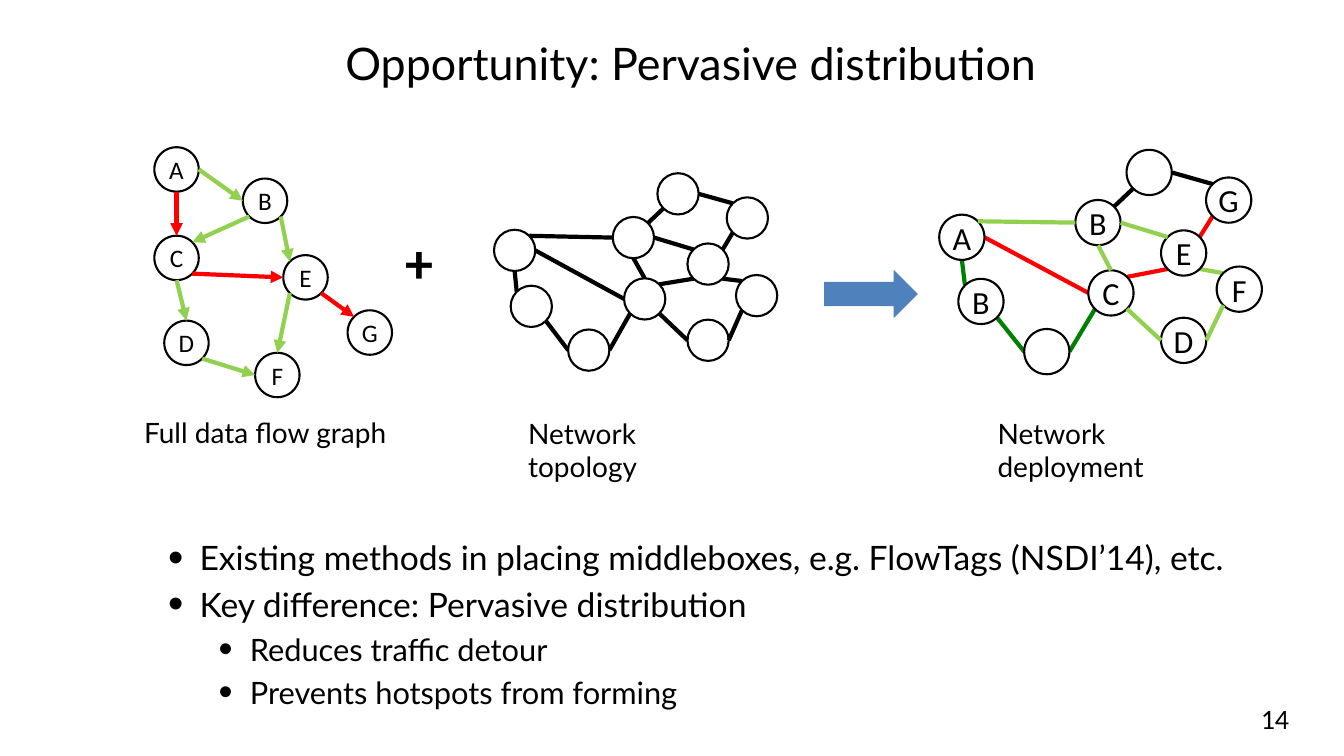
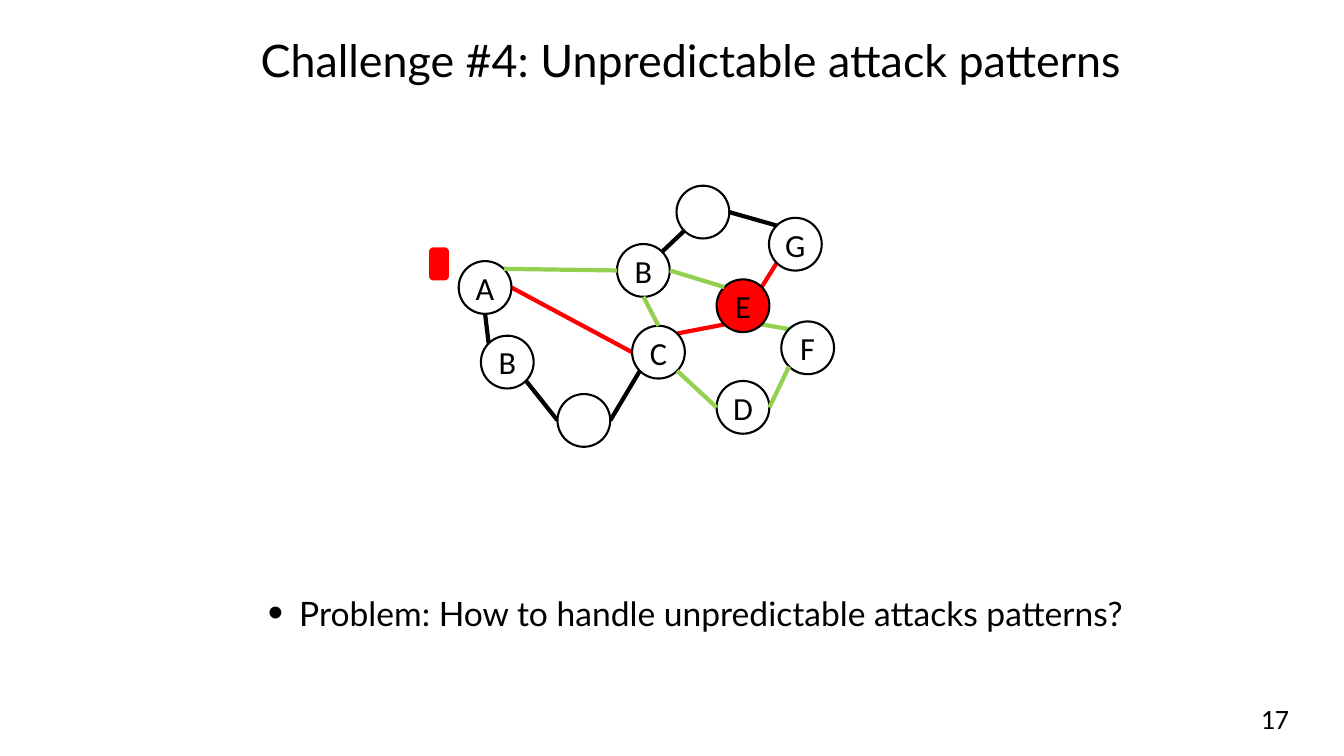
from dataclasses import dataclass
from math import sqrt

from lxml import etree
from pptx import Presentation
from pptx.dml.color import RGBColor
from pptx.enum.shapes import MSO_CONNECTOR, MSO_SHAPE
from pptx.enum.text import MSO_ANCHOR, PP_ALIGN
from pptx.oxml.ns import qn
from pptx.util import Cm, Pt

STRAIGHT = MSO_CONNECTOR.STRAIGHT
OVAL, ROUNDED, ARROW = MSO_SHAPE.OVAL, MSO_SHAPE.ROUNDED_RECTANGLE, MSO_SHAPE.RIGHT_ARROW
LEFT, CENTER, RIGHT = PP_ALIGN.LEFT, PP_ALIGN.CENTER, PP_ALIGN.RIGHT
TOP, MIDDLE = MSO_ANCHOR.TOP, MSO_ANCHOR.MIDDLE


@dataclass(frozen=True)
class Theme:
    black: str = "000000"
    white: str = "FFFFFF"
    red: str = "FF0000"
    lime: str = "92D050"
    green: str = "008000"
    blue: str = "4F81BD"
    text_font: str = "Lato"
    label_font: str = "Calibri"
    title: int = 32
    caption: int = 20
    plus: int = 40
    bullets: tuple = (24, 22)
    bullet_gap: float = 4.5
    outline: float = 1.5
    edge: float = 3


THEME = Theme()

# Graphs: node offsets from A in cm, edges as node.side pairs with a kind
FLOW_NODES = {
    "A": (0, 0), "B": (2.23, 0.79), "F": (2.54, 5.18), "E": (3.25, 2.72),
    "C": (0, 2.23), "D": (0.25, 4.37), "G": (4.87, 4.11),
}
FLOW_EDGES = [
    ("A.e", "B.w", "normal"), ("B.sw", "C.ne", "normal"),
    ("B.se", "E.nw", "normal"), ("C.s", "D.n", "normal"),
    ("D.se", "F.w", "normal"), ("E.sw", "F.n", "normal"),
    ("A.s", "C.n", "attack"), ("C.se", "E.w", "attack"), ("E.se", "G.nw", "attack"),
]
NETWORK_NODES = {
    "A": (0, 0), "B2": (0.56, 1.88), "low": (2.49, 3.35), "C": (4.37, 1.63),
    "B": (3.99, -0.43), "E": (6.5, 0.46), "G": (7.82, -1.09),
    "F": (8.13, 1.52), "D": (6.5, 3.02), "high": (5.49, -1.9),
}
NETWORK_BACK = [
    ("A.s", "B2.nw", "spare"), ("B2.se", "low.w", "spare"), ("low.e", "C.sw", "spare"),
    ("C.ne", "E.sw", "attack"), ("E.ne", "G.sw", "attack"),
    ("E.se", "F.nw", "normal"), ("A.e", "C.w", "attack"),
]
NETWORK_FRONT = [
    ("B.e", "E.nw", "normal"), ("B.s", "C.n", "normal"), ("A.ne", "B.w", "normal"),
    ("C.se", "D.w", "normal"), ("D.e", "F.sw", "normal"),
    ("B.ne", "high.sw", "link"), ("high.e", "G.nw", "link"),
]
NETWORK = {"nodes": NETWORK_NODES, "back": NETWORK_BACK, "front": NETWORK_FRONT}
NETWORK_LABELS = {name: name[0] for name in NETWORK_NODES if name not in ("low", "high")}
ROUTES = {"normal": THEME.lime, "attack": THEME.red}

FLOW_GRAPH = {
    "nodes": FLOW_NODES, "back": [], "front": FLOW_EDGES, "origin": (3.89, 3.71),
    "scale": 1, "size": 1.12, "labels": {name: name for name in FLOW_NODES},
    "label_size": 18, "colors": ROUTES, "arrows": True,
}
TOPOLOGY = {**NETWORK, "origin": (12.45, 5.79), "scale": 0.75, "size": 1.04}
DEPLOYMENT = {
    **NETWORK, "origin": (23.67, 5.41), "scale": 0.86, "size": 1.14,
    "labels": NETWORK_LABELS, "colors": {**ROUTES, "spare": THEME.green},
}
ATTACKED = {
    **NETWORK, "origin": (11.56, 6.58), "scale": 1, "size": 1.33,
    "labels": NETWORK_LABELS, "colors": ROUTES, "fills": {"E": THEME.red},
}

# Slides: boxes are left, top, width, height in cm
SLIDES = [
    {
        "title": "Opportunity: Pervasive distribution", "title_top": 0.2, "number": "14",
        "bullets": [
            (0, "Existing methods in placing middleboxes, e.g. FlowTags (NSDI’14), etc."),
            (0, "Key difference: Pervasive distribution"),
            (1, "Reduces traffic detour"),
            (1, "Prevents hotspots from forming"),
        ],
        "bullet_box": (2.72, 13.41, 29.46, 3.81), "bullet_indent": 2.06,
        "graphs": [TOPOLOGY, FLOW_GRAPH, DEPLOYMENT],
        "captions": [
            ("Full data flow graph", (3.38, 10.34, 6.78, 1.12)),
            ("Network topology", (13.06, 10.36, 4.5, 1.95)),
            ("Network deployment", (24.89, 10.36, 4.5, 1.95)),
        ],
        "plus": (9.96, 5.61, 1.22, 1.96),
        "shapes": [(ARROW, (20.77, 6.8, 2.36, 1.22), THEME.blue, None)],
    },
    {
        "title": "Challenge #4: Unpredictable attack patterns", "title_top": 0.13, "number": "17",
        "bullets": [(0, "Problem: How to handle unpredictable attacks patterns?")],
        "bullet_box": (6.5, 14.81, 23.5, 1.47), "bullet_indent": 0.79,
        "graphs": [ATTACKED],
        "shapes": [(ROUNDED, (10.85, 6.27, 0.43, 0.76), THEME.red, THEME.red)],
    },
]

DIAGONAL = 1 / sqrt(2)
SIDES = {
    "n": (0, -1), "s": (0, 1), "e": (1, 0), "w": (-1, 0),
    "ne": (DIAGONAL, -DIAGONAL), "nw": (-DIAGONAL, -DIAGONAL),
    "se": (DIAGONAL, DIAGONAL), "sw": (-DIAGONAL, DIAGONAL),
}


# Basic parts
def lengths(values):
    return [Cm(value) for value in values]


def add_span(para, text, size, font, color=THEME.black, bold=False):
    span = para.add_run()
    span.text = text
    span.font.size = Pt(size)
    span.font.name = font
    span.font.bold = bold
    span.font.color.rgb = RGBColor.from_string(color)


def add_text(page, place, text, size, font, align=LEFT, anchor=TOP, wrap=True, bold=False):
    frame = page.shapes.add_textbox(*lengths(place)).text_frame
    frame.word_wrap = wrap
    frame.vertical_anchor = anchor
    para = frame.paragraphs[0]
    para.alignment = align
    add_span(para, text, size, font, bold=bold)


def add_filled(page, kind, place, fill, outline=None, width=THEME.outline):
    shape = page.shapes.add_shape(kind, *lengths(place))
    shape.shadow.inherit = False
    shape.fill.solid()
    shape.fill.fore_color.rgb = RGBColor.from_string(fill)
    if outline:
        shape.line.color.rgb = RGBColor.from_string(outline)
        shape.line.width = Pt(width)
    else:
        shape.line.fill.background()
    return shape


def add_edge(page, start, end, color, arrow):
    edge = page.shapes.add_connector(STRAIGHT, *lengths((*start, *end)))
    edge.line.color.rgb = RGBColor.from_string(color)
    edge.line.width = Pt(THEME.edge)
    properties = edge._element.spPr
    if arrow:
        etree.SubElement(properties.find(qn("a:ln")), qn("a:tailEnd"), type="triangle")
    etree.SubElement(properties, qn("a:effectLst"))


def add_bullets(page, place, indent, items):
    frame = page.shapes.add_textbox(*lengths(place)).text_frame
    frame.word_wrap = True
    for index, (level, text) in enumerate(items):
        para = frame.paragraphs[0] if index == 0 else frame.add_paragraph()
        properties = para._p.get_or_add_pPr()
        properties.set("marL", str(Cm(indent + 1.27 * level)))
        properties.set("indent", str(-Cm(0.79)))
        etree.SubElement(properties, qn("a:buSzPct"), val="130000")
        etree.SubElement(properties, qn("a:buFont"), typeface="Arial")
        etree.SubElement(properties, qn("a:buChar"), char="•")
        para.level = level
        if index:
            para.space_before = Pt(THEME.bullet_gap)
        add_span(para, text, THEME.bullets[level], THEME.text_font)


# Graphs
def draw_graph(page, graph):
    size = graph["size"]
    labels, colors = graph.get("labels", {}), graph.get("colors", {})
    left, top = graph["origin"]
    corners = {
        name: (left + x * graph["scale"], top + y * graph["scale"])
        for name, (x, y) in graph["nodes"].items()
    }

    def side_point(end):
        name, side = end.split(".")
        return [corner + size / 2 * (1 + step)
                for corner, step in zip(corners[name], SIDES[side])]

    def draw_edges(edges):
        for start, end, kind in edges:
            add_edge(page, side_point(start), side_point(end),
                     colors.get(kind, THEME.black), graph.get("arrows", False))

    draw_edges(graph["back"])
    for name, corner in corners.items():
        fill = graph.get("fills", {}).get(name, THEME.white)
        node = add_filled(page, OVAL, (*corner, size, size), fill, THEME.black)
        if name in labels:
            frame = node.text_frame
            frame.margin_left = frame.margin_right = 0
            frame.margin_top = frame.margin_bottom = 0
            frame.word_wrap = False
            frame.vertical_anchor = MIDDLE
            para = frame.paragraphs[0]
            para.alignment = CENTER
            add_span(para, labels[name], graph.get("label_size", 23), THEME.label_font)
    draw_edges(graph["front"])


# Pages
def build_page(deck, content):
    page = deck.slides.add_slide(deck.slide_layouts[6])
    add_text(page, (5.97, content["title_top"], 22.89, 2.74), content["title"],
             THEME.title, THEME.text_font, CENTER, MIDDLE)
    add_text(page, (24.84, 17.6, 7.9, 1.02), content["number"],
             THEME.caption, THEME.label_font, RIGHT, MIDDLE)
    add_bullets(page, content["bullet_box"], content["bullet_indent"], content["bullets"])
    for graph in content["graphs"]:
        draw_graph(page, graph)
    for text, place in content.get("captions", []):
        add_text(page, place, text, THEME.caption, THEME.text_font)
    if "plus" in content:
        add_text(page, content["plus"], "+", THEME.plus, THEME.label_font,
                 wrap=False, bold=True)
    for kind, place, fill, outline in content["shapes"]:
        add_filled(page, kind, place, fill, outline, width=2)


def main():
    deck = Presentation()
    deck.slide_width, deck.slide_height = Cm(33.87), Cm(19.05)
    for content in SLIDES:
        build_page(deck, content)
    deck.save("out.pptx")


if __name__ == "__main__":
    main()
